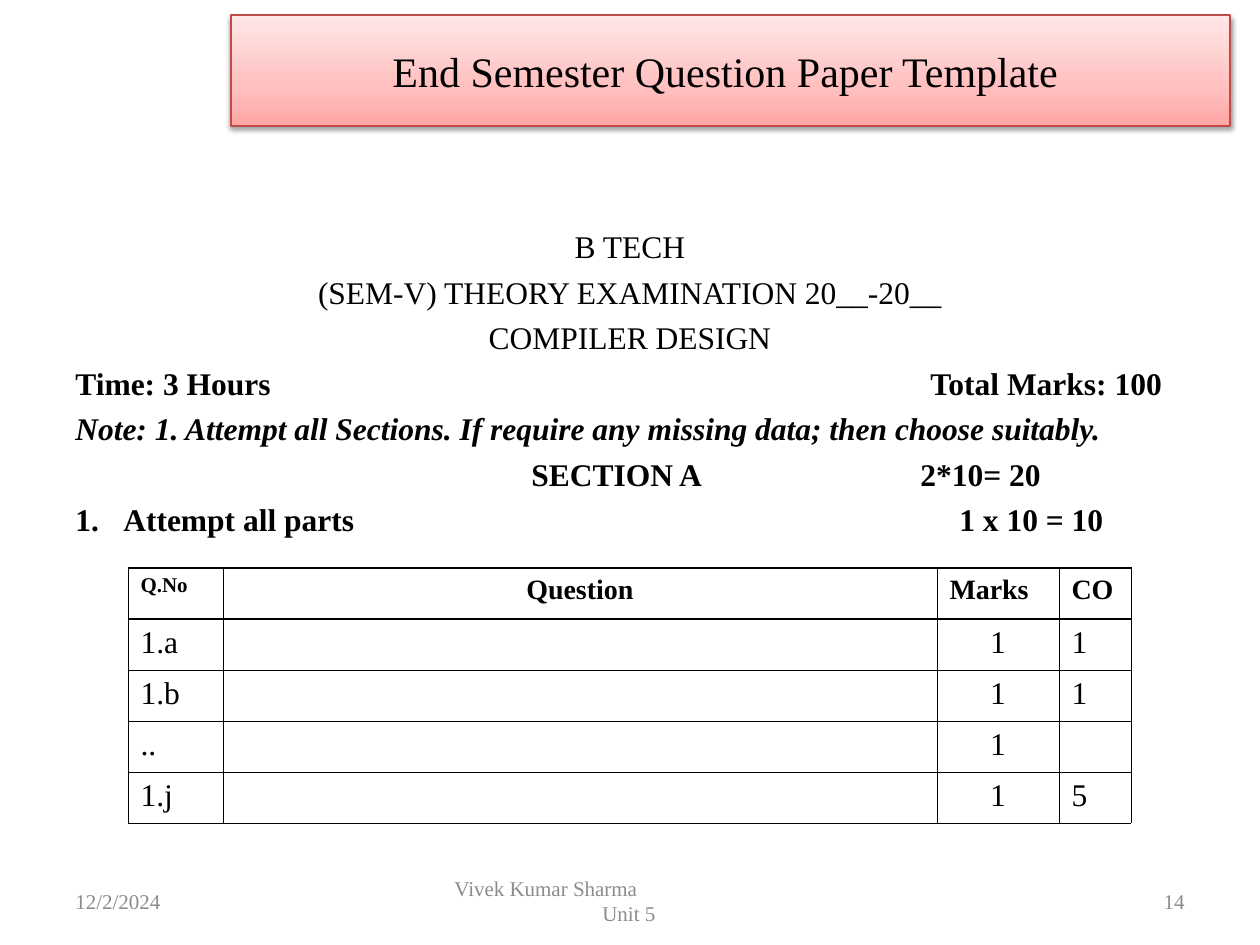
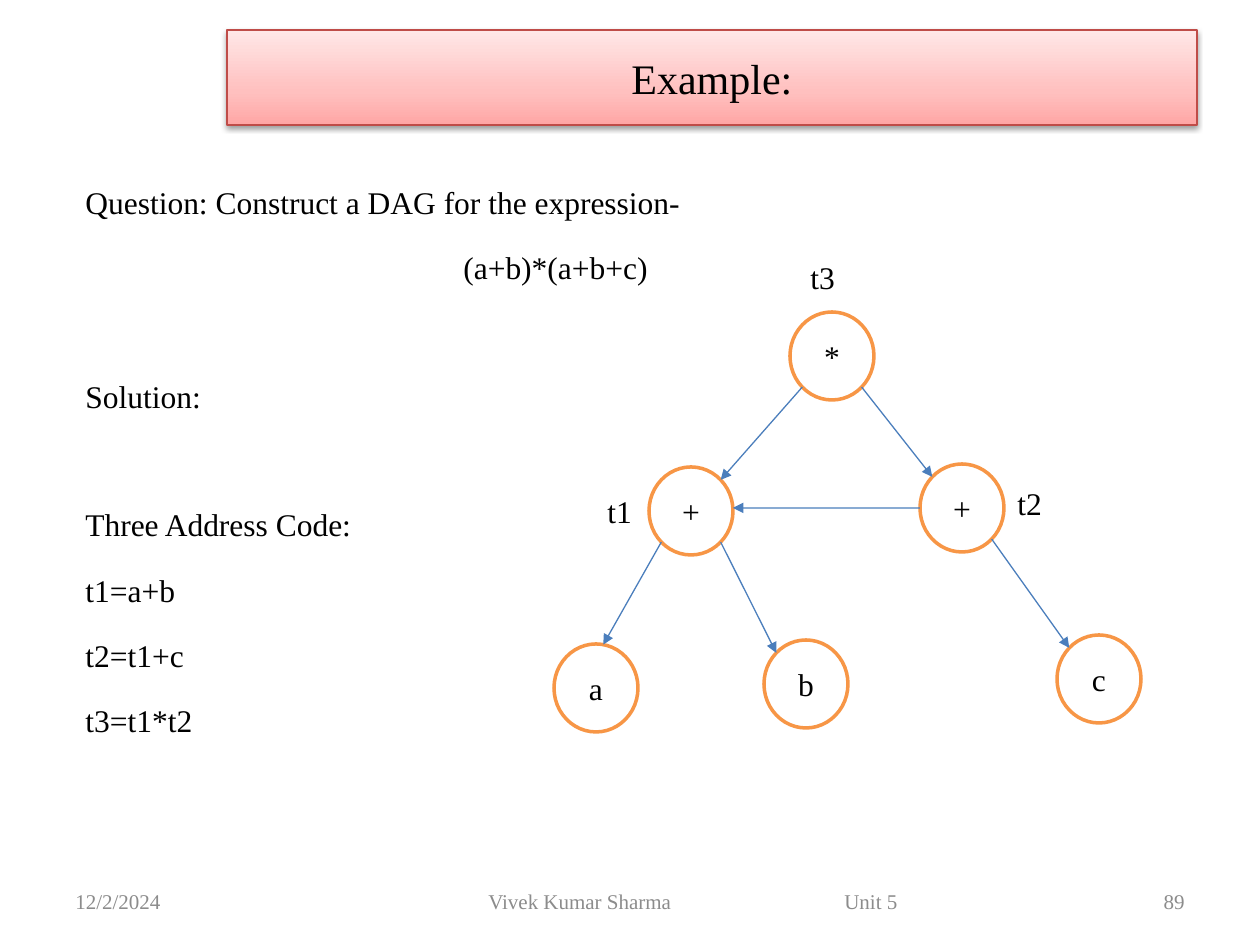
from dataclasses import dataclass
from math import cos, radians, sin

from lxml.etree import SubElement
from pptx import Presentation
from pptx.dml.color import RGBColor as RGB
from pptx.enum.shapes import MSO_CONNECTOR as Link, MSO_SHAPE as Preset
from pptx.enum.text import MSO_ANCHOR as Anchor, PP_ALIGN as Align
from pptx.oxml.ns import qn
from pptx.util import Pt

EMU_PER_PX = 914400 / 126
NODE_W, NODE_H = 84, 88


@dataclass(frozen=True)
class Theme:
    font: str = "Times New Roman"
    ink: str = "000000"
    paper: str = "FFFFFF"
    footer_ink: str = "8C8C8C"
    band_line: str = "BF4C48"
    band_stops: tuple = ((0, "FFA6A5"), (35, "FFC0BF"), (100, "FFE7E7"))
    node_line: str = "F79646"
    arrow: str = "4B7EBC"
    title: int = 24
    body: int = 18
    header: int = 16
    small: int = 12


def px(length):
    return round(length * EMU_PER_PX)


def apply(target, values):
    for name, value in values.items():
        setattr(target, name, value)


def add_xml(parent, tag, **attributes):
    return SubElement(parent, qn(tag), {k: str(v) for k, v in attributes.items()})


class Deck:
    def __init__(self, theme):
        self.theme = theme
        self.prs = Presentation()
        apply(self.prs, {"slide_width": px(1260), "slide_height": px(945)})
        self.slide = None

    def new_slide(self):
        self.slide = self.prs.slides.add_slide(self.prs.slide_layouts[6])

    def fill_line(self, paragraph, text, size=None, color=None, tabs=(), number=False,
                  font=None, **layout):
        """Fill one paragraph; tabs are px from the text edge."""
        props = paragraph._p.get_or_add_pPr()
        if number:
            props.set("marL", str(px(48)))
            props.set("indent", str(-px(48)))
            add_xml(props, "a:buFont", typeface="+mj-lt")
            add_xml(props, "a:buAutoNum", type="arabicPeriod")
        if tabs:
            stops = add_xml(props, "a:tabLst")
            for stop in tabs:
                add_xml(stops, "a:tab", pos=px(stop), algn="l")
        apply(paragraph, layout)
        run = paragraph.add_run()
        run.text = text
        apply(run.font, {"name": self.theme.font, "size": Pt(size or self.theme.body),
                         **(font or {})})
        run.font.color.rgb = RGB.from_string(color or self.theme.ink)

    def text(self, box, paragraphs, anchor=Anchor.TOP, wrap=True):
        """Add a text box from (text, format) pairs."""
        frame = self.slide.shapes.add_textbox(*map(px, box)).text_frame
        apply(frame, {"word_wrap": wrap, "vertical_anchor": anchor})
        for i, (line, style) in enumerate(paragraphs):
            paragraph = frame.add_paragraph() if i else frame.paragraphs[0]
            self.fill_line(paragraph, line, **style)

    def shape(self, preset, box, line, width, label, size):
        shape = self.slide.shapes.add_shape(preset, *map(px, box))
        shape.shadow.inherit = False
        shape.line.color.rgb = RGB.from_string(line)
        shape.line.width = Pt(width)
        apply(shape.text_frame, {"word_wrap": True, "vertical_anchor": Anchor.MIDDLE})
        self.fill_line(shape.text_frame.paragraphs[0], label, size, alignment=Align.CENTER)
        return shape

    def title(self, box, label):
        band = self.shape(Preset.RECTANGLE, box, self.theme.band_line, 0.75,
                          label, self.theme.title)
        # Gradient, dark at the foot
        band.fill.gradient()
        band.fill.gradient_angle = 90
        props = band._element.spPr
        stops = props.find(".//" + qn("a:gsLst"))
        for old in list(stops):
            stops.remove(old)
        for percent, color in self.theme.band_stops:
            stop = add_xml(stops, "a:gs", pos=percent * 1000)
            add_xml(stop, "a:srgbClr", val=color)
        # Soft drop shadow
        shadow = add_xml(props.find(qn("a:effectLst")), "a:outerShdw", blurRad=Pt(3.1),
                         dist=Pt(1.6), dir=5400000, rotWithShape=0)
        shade = add_xml(shadow, "a:srgbClr", val=self.theme.ink)
        add_xml(shade, "a:alpha", val=38000)

    def node(self, spot, label):
        circle = self.shape(Preset.OVAL, (*spot, NODE_W, NODE_H), self.theme.node_line, 2,
                            label, self.theme.body)
        circle.fill.solid()
        circle.fill.fore_color.rgb = RGB.from_string(self.theme.paper)

    def arrow(self, start, end):
        link = self.slide.shapes.add_connector(Link.STRAIGHT, *map(px, (*start, *end)))
        link.line.color.rgb = RGB.from_string(self.theme.arrow)
        link.line.width = Pt(0.75)
        add_xml(link._element.spPr.find(qn("a:ln")), "a:tailEnd", type="triangle")
        add_xml(link._element.spPr, "a:effectLst")

    def table(self, spot, widths, row_height, rows, style_of):
        box = (*spot, sum(widths), row_height * len(rows))
        grid = self.slide.shapes.add_table(len(rows), len(widths), *map(px, box)).table
        apply(grid, {"first_row": False, "horz_banding": False})
        for column, width in zip(grid.columns, widths):
            column.width = px(width)
        for r, row in enumerate(rows):
            grid.rows[r].height = px(row_height)
            for c, value in enumerate(row):
                cell = grid.cell(r, c)
                if value:
                    self.fill_line(cell.text_frame.paragraphs[0], value, **style_of(r, c))
                self.borders(cell, {"L": 0.5, "R": 0.5, "T": 1 if r < 2 else 0.5,
                                    "B": 1 if r == 0 else 0.5})
                cell.fill.solid()
                cell.fill.fore_color.rgb = RGB.from_string(self.theme.paper)

    def borders(self, cell, widths):
        props = cell._tc.get_or_add_tcPr()
        for side, width in widths.items():
            edge = add_xml(props, f"a:ln{side}", w=Pt(width))
            add_xml(add_xml(edge, "a:solidFill"), "a:srgbClr", val=self.theme.ink)

    def footer(self, box, author_lines, number):
        style = {"size": self.theme.small, "color": self.theme.footer_ink}
        top, height = 876, 50
        parts = [
            ((63, top, 294, height), [("12/2/2024", {})]),
            ((box[0], top, box[1], height), author_lines),
            ((903, top, 294, height), [(number, {"alignment": Align.RIGHT})]),
        ]
        for place, lines in parts:
            self.text(place, [(line, {**style, **extra}) for line, extra in lines],
                      Anchor.MIDDLE)


def rim(spot, degrees):
    """Point on a node's outline, clockwise from its right side."""
    angle = radians(degrees)
    return (spot[0] + NODE_W / 2 * (1 + cos(angle)),
            spot[1] + NODE_H / 2 * (1 + sin(angle)))


def question_paper(deck):
    deck.new_slide()
    deck.title((231, 15, 999, 111), "End Semester Question Paper Template ")

    # Exam heading
    centred = {"alignment": Align.CENTER}
    bold = {"font": {"bold": True}}
    heading = [
        ("B TECH", centred),
        ("(SEM-V) THEORY EXAMINATION 20__-20__", centred),
        ("COMPILER DESIGN", centred),
        ("Time: 3 Hours\tTotal Marks: 100", {**bold, "tabs": (855,)}),
        ("Note: 1. Attempt all Sections. If require any missing data; then choose suitably.",
         {"font": {"bold": True, "italic": True}}),
        ("\tSECTION A\t2*10= 20", {**bold, "tabs": (456, 845)}),
        ("Attempt all parts\t1 x 10 = 10", {**bold, "tabs": (884,), "number": True}),
    ]
    deck.text((63, 221, 1134, 624),
              [(line, {**style, "space_before": Pt(4.4 if i else 0)})
               for i, (line, style) in enumerate(heading)])

    # Question grid
    def cell_style(row, column):
        style = {"alignment": Align.LEFT}
        if row == 0:
            style["size"] = deck.theme.header if column else deck.theme.small
            style["font"] = {"bold": True}
        if column == (2 if row else 1):
            style["alignment"] = Align.CENTER
        return style

    deck.table((128, 568), (95, 714, 122, 72), 51, [
        ("Q.No", "Question", "Marks", "CO"),
        ("1.a", "", "1", "1"),
        ("1.b", "", "1", "1"),
        ("..", "", "1", ""),
        ("1.j", "", "1", "5"),
    ], cell_style)
    deck.footer((431, 399), [("\tVivek Kumar Sharma", {"tabs": (11,)}),
                             ("\tUnit 5", {"tabs": (159,)})], "14")


def dag_example(deck):
    deck.new_slide()
    deck.title((227, 30, 970, 95), "Example:")

    # Question and three address code; wide gaps open the new parts
    line_gap, part_gap = 4.95, 40.95
    working = [
        ("Question: Construct a DAG for the expression-", 0),
        ("\t(a+b)*(a+b+c)", line_gap),
        ("Solution:", part_gap),
        ("Three Address Code:", part_gap),
        ("t1=a+b", line_gap),
        ("t2=t1+c", line_gap),
        ("t3=t1*t2", line_gap),
    ]
    deck.text((73, 158, 1134, 624),
              [(line, {"tabs": (378,), "line_spacing": 1.5, "space_before": Pt(gap)})
               for line, gap in working])

    # Expression graph
    product, sum_t1, sum_t2 = (790, 312), (649, 467), (920, 464)
    leaf_a, leaf_b, leaf_c = (554, 644), (764, 640), (1057, 635)
    for spot, label in [(product, "*"), (sum_t1, "+"), (sum_t2, "+"),
                        (leaf_a, "a"), (leaf_b, "b"), (leaf_c, "c")]:
        deck.node(spot, label)
    for parent, leaving, child, arriving in [
        (product, 135, sum_t1, -45),
        (product, 45, sum_t2, -135),
        (sum_t2, 180, sum_t1, -4),
        (sum_t1, 135, leaf_a, -80),
        (sum_t1, 45, leaf_b, -135),
        (sum_t2, 45, leaf_c, -135),
    ]:
        deck.arrow(rim(parent, leaving), rim(child, arriving))
    for label, left, top in [("t1", 595, 486), ("t2", 1005, 478), ("t3", 798, 252)]:
        deck.text((left, top, 52, 50), [(label, {})], wrap=False)
    deck.footer((347, 693), [("\tVivek Kumar Sharma\tUnit 5", {"tabs": (129, 485)})], "89")


def main():
    deck = Deck(Theme())
    question_paper(deck)
    dag_example(deck)
    deck.prs.save("out.pptx")


if __name__ == "__main__":
    main()
